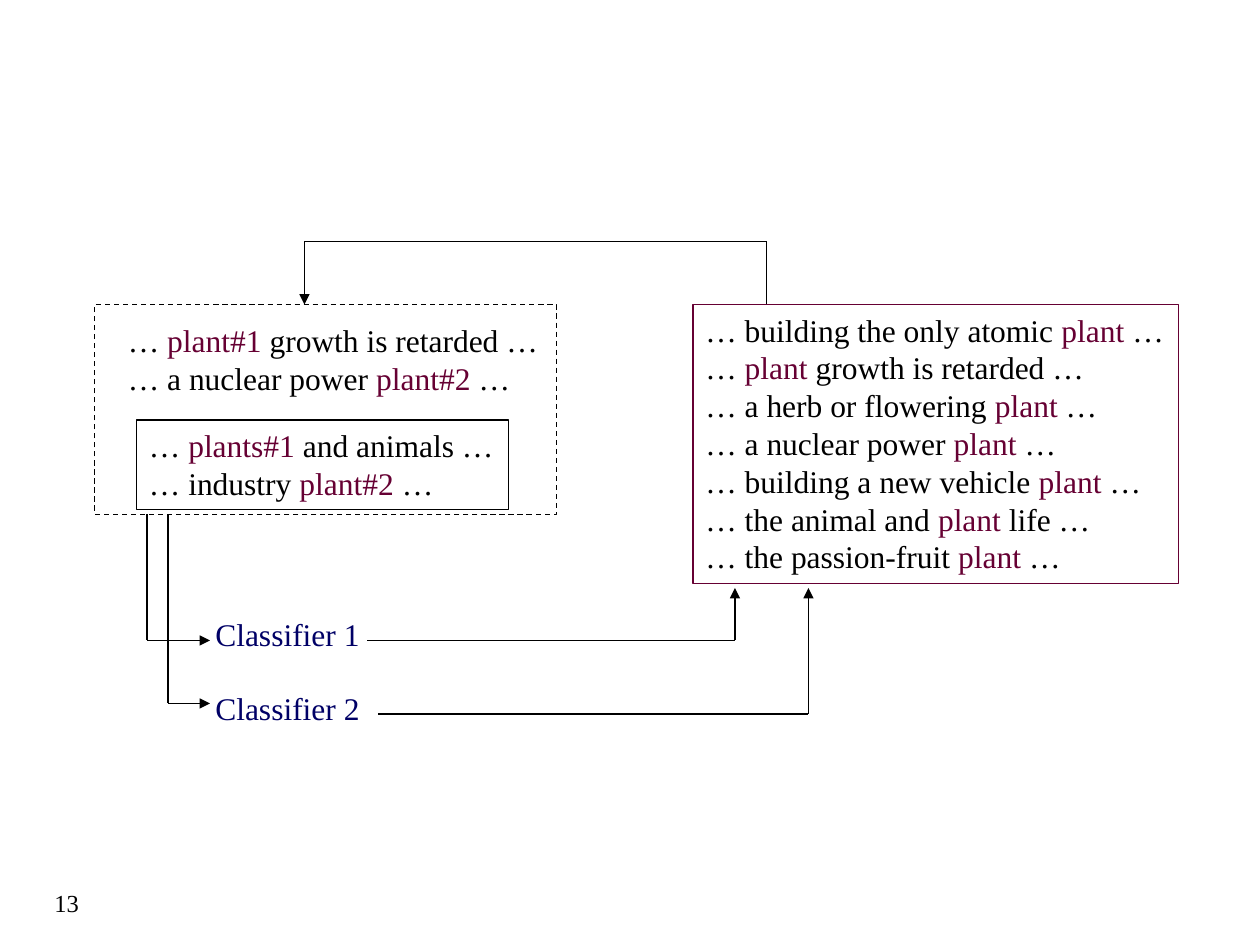
from itertools import pairwise

from lxml import etree
from pptx import Presentation
from pptx.dml.color import RGBColor
from pptx.enum.dml import MSO_LINE
from pptx.enum.shapes import MSO_CONNECTOR, MSO_SHAPE
from pptx.enum.text import MSO_ANCHOR, MSO_AUTO_SIZE, PP_ALIGN
from pptx.oxml.ns import qn
from pptx.util import Pt

STRAIGHT = MSO_CONNECTOR.STRAIGHT
RECTANGLE = MSO_SHAPE.RECTANGLE
DASH = MSO_LINE.DASH
LEFT = PP_ALIGN.LEFT
TOP = MSO_ANCHOR.TOP
FIT_SHAPE = MSO_AUTO_SIZE.SHAPE_TO_FIT_TEXT

BLACK = RGBColor(0x00, 0x00, 0x00)
WINE = RGBColor(0x66, 0x00, 0x33)
NAVY = RGBColor(0x00, 0x00, 0x66)
FONT = "Times New Roman"
LINE_WIDTH = Pt(0.75)

NEW_EXAMPLES = ["… |plant#1| growth is retarded …", "… a nuclear power |plant#2| …"]
SEED_EXAMPLES = ["… |plants#1| and animals …", "… industry |plant#2| …"]
UNLABELED_EXAMPLES = [
    "… building the only atomic |plant| …",
    "… |plant| growth is retarded …",
    "… a herb or flowering |plant| …",
    "… a nuclear power |plant| …",
    "… building a new vehicle |plant| …",
    "… the animal and |plant| life …",
    "… the passion-fruit |plant| …",
]

LABELED_BOTTOM = 294
UNLABELED_TOP = 174
ARROW_TIP = 336
FEEDBACK_TOP = 138


def write_lines(box, lines, size=18, color=BLACK, wrap=False):
    """Write one paragraph per line, with the words between bars in wine."""
    frame = box.text_frame
    frame.word_wrap = wrap
    frame.auto_size = FIT_SHAPE
    frame.vertical_anchor = TOP
    for number, line in enumerate(lines):
        para = frame.paragraphs[0] if number == 0 else frame.add_paragraph()
        para.alignment = LEFT
        for part, words in enumerate(line.split("|")):
            span = para.add_run()
            span.text = words
            span.font.name = FONT
            span.font.size = Pt(size)
            span.font.color.rgb = WINE if part % 2 else color


def add_text(page, left, top, width, height, lines, **style):
    """Add a plain text box."""
    box = page.shapes.add_textbox(Pt(left), Pt(top), Pt(width), Pt(height))
    write_lines(box, lines, **style)


def add_frame(page, left, top, width, height, color=BLACK):
    """Add an unfilled rectangle with a thin outline and return it."""
    box = page.shapes.add_shape(RECTANGLE, Pt(left), Pt(top), Pt(width), Pt(height))
    box.shadow.inherit = False
    box.fill.background()
    box.line.color.rgb = color
    box.line.width = LINE_WIDTH
    return box


def add_route(page, points, arrow=True):
    """Join the points with straight lines, with an arrowhead on the last one."""
    for (x1, y1), (x2, y2) in pairwise(points):
        line = page.shapes.add_connector(STRAIGHT, Pt(x1), Pt(y1), Pt(x2), Pt(y2))
        line.line.color.rgb = BLACK
        line.line.width = LINE_WIDTH
        properties = line._element.spPr
        etree.SubElement(properties, qn("a:effectLst"))
    if arrow:
        outline = properties.find(qn("a:ln"))
        etree.SubElement(outline, qn("a:tailEnd"), type="triangle")


def add_classifier(page, name, top, source_x, entry_y, exit_x, exit_y, target_x):
    """Add a classifier label with its arrows from labeled to unlabeled text."""
    add_text(page, 116, top, 100, 28.8, [name], color=NAVY, wrap=True)
    add_route(page, [(source_x, LABELED_BOTTOM), (source_x, entry_y), (120, entry_y)])
    add_route(page, [(exit_x, exit_y), (target_x, exit_y), (target_x, ARROW_TIP)])


def main():
    """Build the slide and save it."""
    deck = Presentation()
    deck.slide_width, deck.slide_height = Pt(720), Pt(540)
    page = deck.slides.add_slide(deck.slide_layouts[6])

    add_text(page, 24, 504, 31, 24, ["13"], size=14)
    write_lines(add_frame(page, 78, 240, 212.4, 51), SEED_EXAMPLES)
    unlabeled = add_frame(page, 396, UNLABELED_TOP, 277.5, 159.3, WINE)
    write_lines(unlabeled, UNLABELED_EXAMPLES)

    add_classifier(page, "Classifier 1", 348, 84, 366, 210, 366, 420)
    add_classifier(page, "Classifier 2", 390, 96, 402, 216, 408, 462)

    add_route(page, [(438, UNLABELED_TOP), (438, FEEDBACK_TOP),
                     (174, FEEDBACK_TOP), (174, UNLABELED_TOP)])
    add_text(page, 66, 180, 249, 50.4, NEW_EXAMPLES)
    labeled = add_frame(page, 54, UNLABELED_TOP, 264, LABELED_BOTTOM - UNLABELED_TOP)
    labeled.line.dash_style = DASH

    deck.save("out.pptx")


if __name__ == "__main__":
    main()
